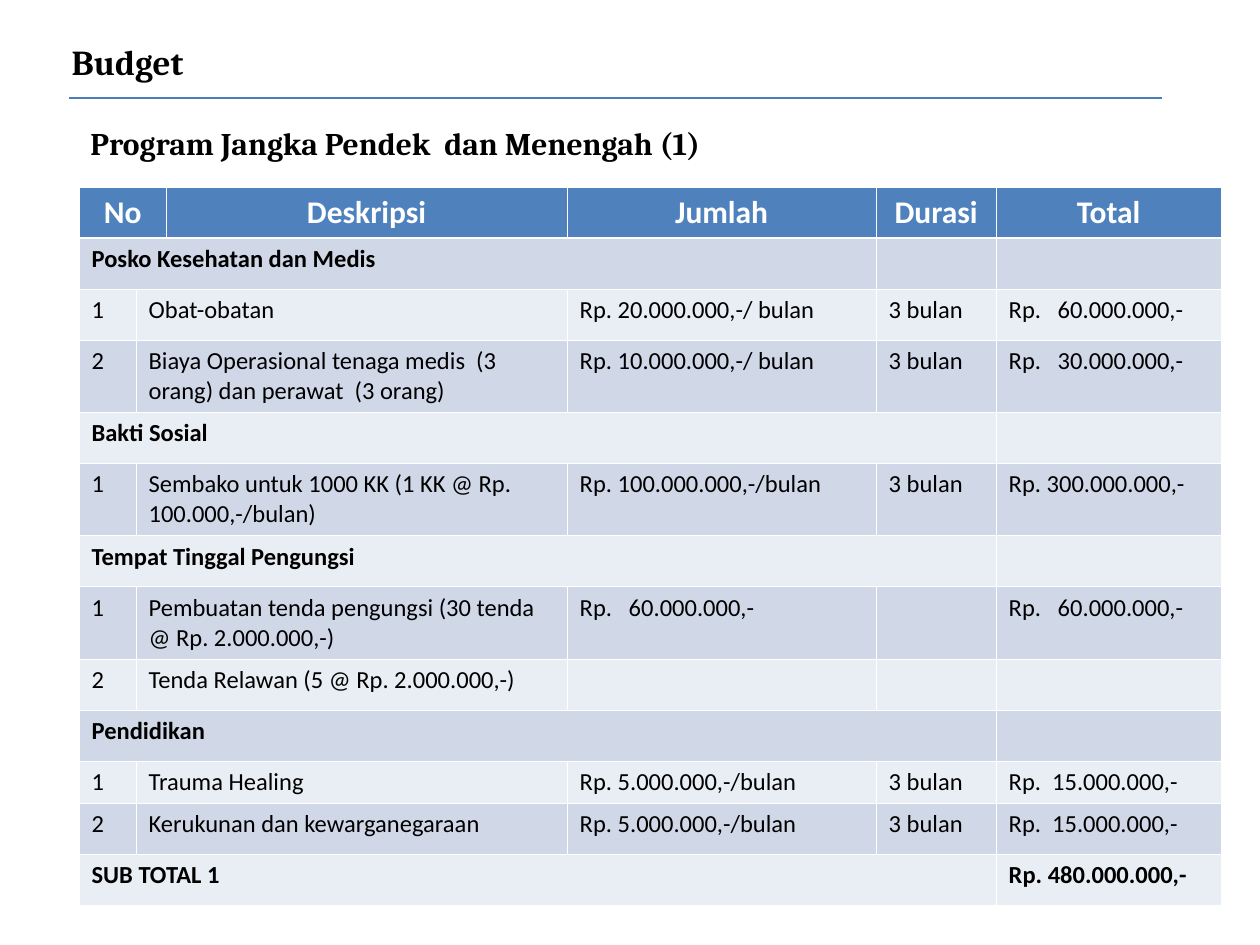
from lxml import etree
from pptx import Presentation
from pptx import util as u
from pptx.dml.color import RGBColor
from pptx.enum import shapes, text
from pptx.oxml import ns

BLACK = RGBColor(0x00, 0x00, 0x00)
WHITE = RGBColor(0xFF, 0xFF, 0xFF)
HEADER_BLUE = RGBColor(0x4F, 0x81, 0xBD)
RULE_BLUE = RGBColor(0x4A, 0x7E, 0xBB)
BAND_DARK = RGBColor(0xD0, 0xD8, 0xE8)
BAND_LIGHT = RGBColor(0xE9, 0xED, 0xF4)

HEADER_SPANS = (2, 1, 1, 1, 1)
ITEM_SPANS = (1, 2, 1, 1, 1)
FIRST_SECTION_SPANS = (4, 1, 1)
SECTION_SPANS = (5, 1)

COLUMN_WIDTHS = (57, 29, 401, 309, 120, 225)
BUDGET_ROWS = (
    (50, HEADER_SPANS, ("No", "Deskripsi", "Jumlah", "Durasi", "Total")),
    (51, FIRST_SECTION_SPANS, ("Posko Kesehatan dan Medis", "", "")),
    (51, ITEM_SPANS, ("1", "Obat-obatan", "Rp. 20.000.000,-/ bulan", "3 bulan", "Rp.   60.000.000,-")),
    (71, ITEM_SPANS, ("2", "Biaya Operasional tenaga medis  (3 orang) dan perawat  (3 orang)",
                      "Rp. 10.000.000,-/ bulan", "3 bulan", "Rp.   30.000.000,-")),
    (51, SECTION_SPANS, ("Bakti Sosial", "")),
    (72, ITEM_SPANS, ("1", "Sembako untuk 1000 KK (1 KK @ Rp. 100.000,-/bulan)",
                      "Rp. 100.000.000,-/bulan", "3 bulan", "Rp. 300.000.000,-")),
    (51, SECTION_SPANS, ("Tempat Tinggal Pengungsi", "")),
    (72, ITEM_SPANS, ("1", "Pembuatan tenda pengungsi (30 tenda @ Rp. 2.000.000,-)",
                      "Rp.   60.000.000,-", "", "Rp.   60.000.000,-")),
    (51, ITEM_SPANS, ("2", "Tenda Relawan (5 @ Rp. 2.000.000,-)", "", "", "")),
    (51, SECTION_SPANS, ("Pendidikan", "")),
    (42, ITEM_SPANS, ("1", "Trauma Healing", "Rp. 5.000.000,-/bulan", "3 bulan", "Rp.  15.000.000,-")),
    (51, ITEM_SPANS, ("2", "Kerukunan dan kewarganegaraan", "Rp. 5.000.000,-/bulan", "3 bulan",
                      "Rp.  15.000.000,-")),
    (51, SECTION_SPANS, ("SUB TOTAL 1", "Rp. 480.000.000,-")),
)


def px(length):
    return u.Emu(round(length * u.Inches(1) / 126))


class SlideBuilder:
    heading_font = "Cambria"
    table_font = "Calibri"

    def __init__(self, presentation):
        self.slide = presentation.slides.add_slide(presentation.slide_layouts[5])

    def set_text(self, frame, words, font, size, color, bold, align=text.PP_ALIGN.LEFT):
        frame.text = words
        paragraph = frame.paragraphs[0]
        paragraph.alignment = align
        paragraph.font.name = font
        paragraph.font.size = u.Pt(size)
        paragraph.font.color.rgb = color
        paragraph.font.bold = bold

    def heading(self, shape, words, size, left, top, width, height, wrap):
        shape.left, shape.top, shape.width, shape.height = map(px, (left, top, width, height))
        frame = shape.text_frame
        frame.auto_size = text.MSO_AUTO_SIZE.NONE
        frame.vertical_anchor = text.MSO_ANCHOR.TOP
        frame.word_wrap = wrap
        self.set_text(frame, words, self.heading_font, size, BLACK, True)

    def title(self, words, *box):
        self.heading(self.slide.shapes.title, words, 20, *box, True)

    def subtitle(self, words, *box):
        shape = self.slide.shapes.add_textbox(*map(px, box))
        self.heading(shape, words, 18, *box, False)

    def rule(self, left, right, y):
        line = self.slide.shapes.add_connector(
            shapes.MSO_CONNECTOR.STRAIGHT, px(left), px(y), px(right), px(y))
        line.line.color.rgb = RULE_BLUE
        line.line.width = u.Pt(0.75)
        etree.SubElement(line._element.spPr, ns.qn("a:effectLst"))

    def borders(self, cell, top, bottom):
        properties = cell._tc.get_or_add_tcPr()
        for side, points in (("lnL", 0.45), ("lnR", 0.45), ("lnT", top), ("lnB", bottom)):
            line = etree.SubElement(properties, ns.qn(f"a:{side}"), w=str(u.Pt(points)))
            fill = etree.SubElement(line, ns.qn("a:solidFill"))
            etree.SubElement(fill, ns.qn("a:srgbClr"), val=str(WHITE))

    def table(self, left, top, widths, rows):
        heights = [height for height, _, _ in rows]
        table = self.slide.shapes.add_table(
            len(rows), len(widths), px(left), px(top), px(sum(widths)), px(sum(heights))).table
        for column, width in zip(table.columns, widths):
            column.width = px(width)
        for index, (height, spans, words) in enumerate(rows):
            table.rows[index].height = px(height)
            self.table_row(table, index, spans, words)

    def table_row(self, table, index, spans, words):
        header = index == 0
        fill = HEADER_BLUE if header else (BAND_LIGHT, BAND_DARK)[index % 2]
        for cell in table.rows[index].cells:
            self.borders(cell, 1.47 if index == 1 else 0.45, 1.47 if header else 0.45)
            cell.fill.solid()
            cell.fill.fore_color.rgb = fill
        column = 0
        for span, label in zip(spans, words):
            cell = table.cell(index, column)
            if span > 1:
                cell.merge(table.cell(index, column + span - 1))
            self.set_text(cell.text_frame, label, self.table_font, 18 if header else 14,
                          WHITE if header else BLACK, spans != ITEM_SPANS,
                          text.PP_ALIGN.CENTER if header else text.PP_ALIGN.LEFT)
            column += span


def main():
    presentation = Presentation()
    presentation.slide_width, presentation.slide_height = px(1260), px(945)
    builder = SlideBuilder(presentation)
    builder.title("Budget", 59, 34, 522, 55)
    builder.rule(69, 1162, 98)
    builder.table(79, 187, COLUMN_WIDTHS, BUDGET_ROWS)
    builder.subtitle("Program Jangka Pendek  dan Menengah (1)", 78, 118, 638, 50)
    presentation.save("out.pptx")


if __name__ == "__main__":
    main()
